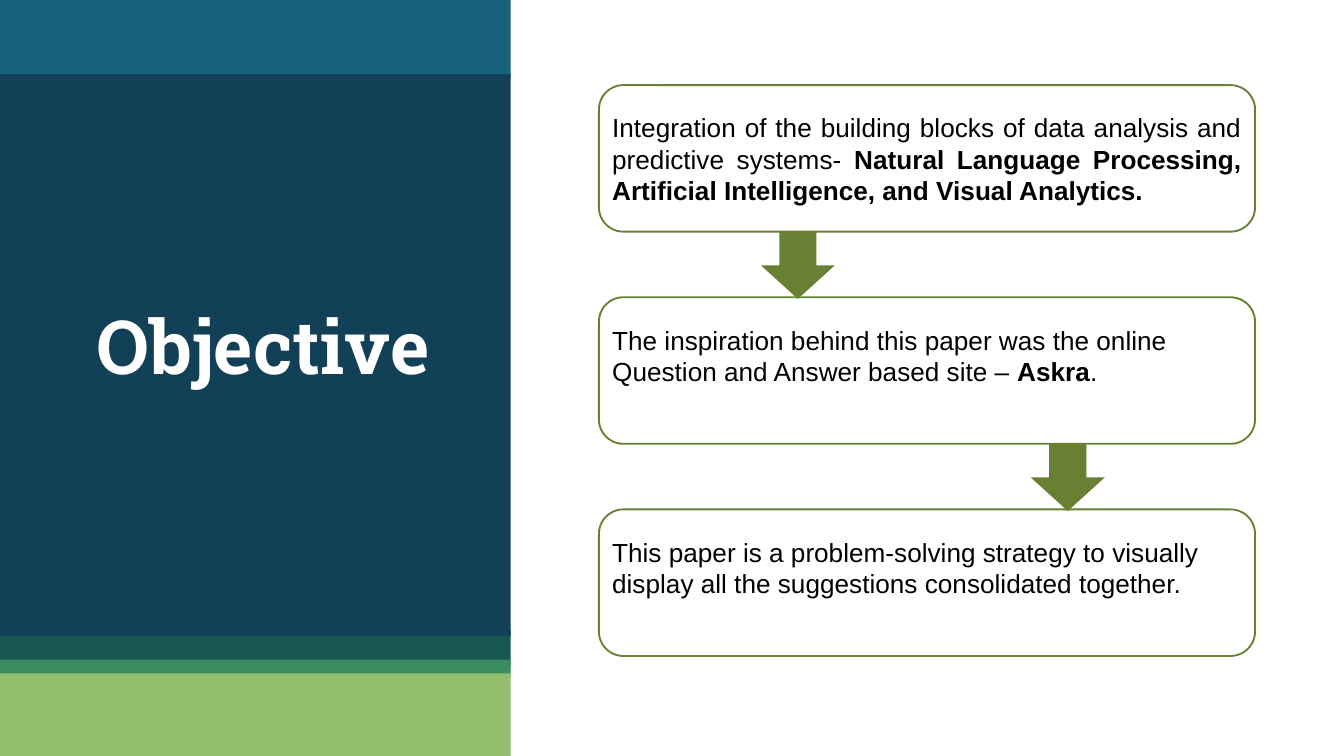
from dataclasses import dataclass

from pptx import Presentation
from pptx.dml.color import RGBColor
from pptx.enum.shapes import MSO_SHAPE
from pptx.enum.text import MSO_ANCHOR, PP_ALIGN
from pptx.util import Cm, Pt


@dataclass(frozen=True)
class Theme:
    teal: str = "18637B"
    navy: str = "124057"
    pine: str = "165751"
    green: str = "3B8D61"
    lime: str = "94BF6E"
    olive: str = "688031"
    white: str = "FFFFFF"
    black: str = "000000"
    title_font: str = "Roboto Slab"
    body_font: str = "Arial"
    title_size: int = 40
    body_size: int = 14


THEME = Theme()

TITLE = "Objective"
# Each step: alignment and (text, bold) runs
STEPS = [
    (PP_ALIGN.JUSTIFY, [
        ("Integration of the building blocks of data analysis and predictive systems- ", False),
        ("Natural Language Processing, Artificial Intelligence, and Visual Analytics.", True),
    ]),
    (PP_ALIGN.LEFT, [
        ("The inspiration behind this paper was the online Question and Answer based site – ", False),
        ("Askra", True),
        (".", False),
    ]),
    (PP_ALIGN.LEFT, [
        ("This paper is a problem-solving strategy to visually display all the "
         "suggestions consolidated together.", False),
    ]),
]
# Side panel bands, back to front: top, height, colour (cm)
BANDS = [
    (11.91, 0.69, THEME.pine),
    (0, 1.47, THEME.teal),
    (1.4, 10.62, THEME.navy),
    (12.47, 0.33, THEME.green),
    (12.73, 1.56, THEME.lime),
]
ARROW_LEFTS = [14.38, 19.48]

SLIDE_W, SLIDE_H = 25.4, 14.29
PANEL_W = 9.65
BOX_LEFT, BOX_TOP, BOX_W, BOX_H = 11.32, 1.61, 12.4, 2.77
BOX_PITCH = 4.01
TEXT_DROP = 0.38
ARROW_W, ARROW_H = 1.4, 1.27


def add_shape(slide, kind, left, top, width, height, fill=None, line=None):
    sp = slide.shapes.add_shape(kind, Cm(left), Cm(top), Cm(width), Cm(height))
    sp.shadow.inherit = False
    if fill:
        sp.fill.solid()
        sp.fill.fore_color.rgb = RGBColor.from_string(fill)
    else:
        sp.fill.background()
    if line:
        sp.line.color.rgb = RGBColor.from_string(line)
        sp.line.width = Pt(1)
    else:
        sp.line.fill.background()
    return sp


def add_text(slide, left, top, width, height, runs, align, font, size, color):
    """Add a wrapped one-paragraph box from (text, bold) runs."""
    tf = slide.shapes.add_textbox(Cm(left), Cm(top), Cm(width), Cm(height)).text_frame
    tf.word_wrap = True
    p = tf.paragraphs[0]
    p.alignment = align
    p.font.name = font
    p.font.size = Pt(size)
    p.font.color.rgb = RGBColor.from_string(color)
    for text, bold in runs:
        r = p.add_run()
        r.text = text
        r.font.bold = bold
    return tf


def add_panel(slide):
    for top, height, color in BANDS:
        add_shape(slide, MSO_SHAPE.RECTANGLE, 0, top, PANEL_W, height, fill=color)
    tf = add_text(slide, 0.74, 4.39, 8.46, 3.23, [(TITLE, True)], PP_ALIGN.CENTER,
                  THEME.title_font, THEME.title_size, THEME.white)
    tf.vertical_anchor = MSO_ANCHOR.BOTTOM
    tf.margin_top = tf.margin_bottom = Cm(0.25)


def add_steps(slide):
    tops = [BOX_TOP + i * BOX_PITCH for i in range(len(STEPS))]
    for top in tops:
        add_shape(slide, MSO_SHAPE.ROUNDED_RECTANGLE, BOX_LEFT, top, BOX_W, BOX_H,
                  line=THEME.olive)
    for left, top in zip(ARROW_LEFTS, tops):
        add_shape(slide, MSO_SHAPE.DOWN_ARROW, left, top + BOX_H, ARROW_W, ARROW_H,
                  fill=THEME.olive)
    for top, (align, runs) in zip(tops, STEPS):
        add_text(slide, BOX_LEFT, top + TEXT_DROP, BOX_W, BOX_H - 2 * TEXT_DROP, runs,
                 align, THEME.body_font, THEME.body_size, THEME.black)


def main():
    prs = Presentation()
    prs.slide_width, prs.slide_height = Cm(SLIDE_W), Cm(SLIDE_H)
    slide = prs.slides.add_slide(prs.slide_layouts[6])
    add_panel(slide)
    add_steps(slide)
    prs.save("out.pptx")


if __name__ == "__main__":
    main()
